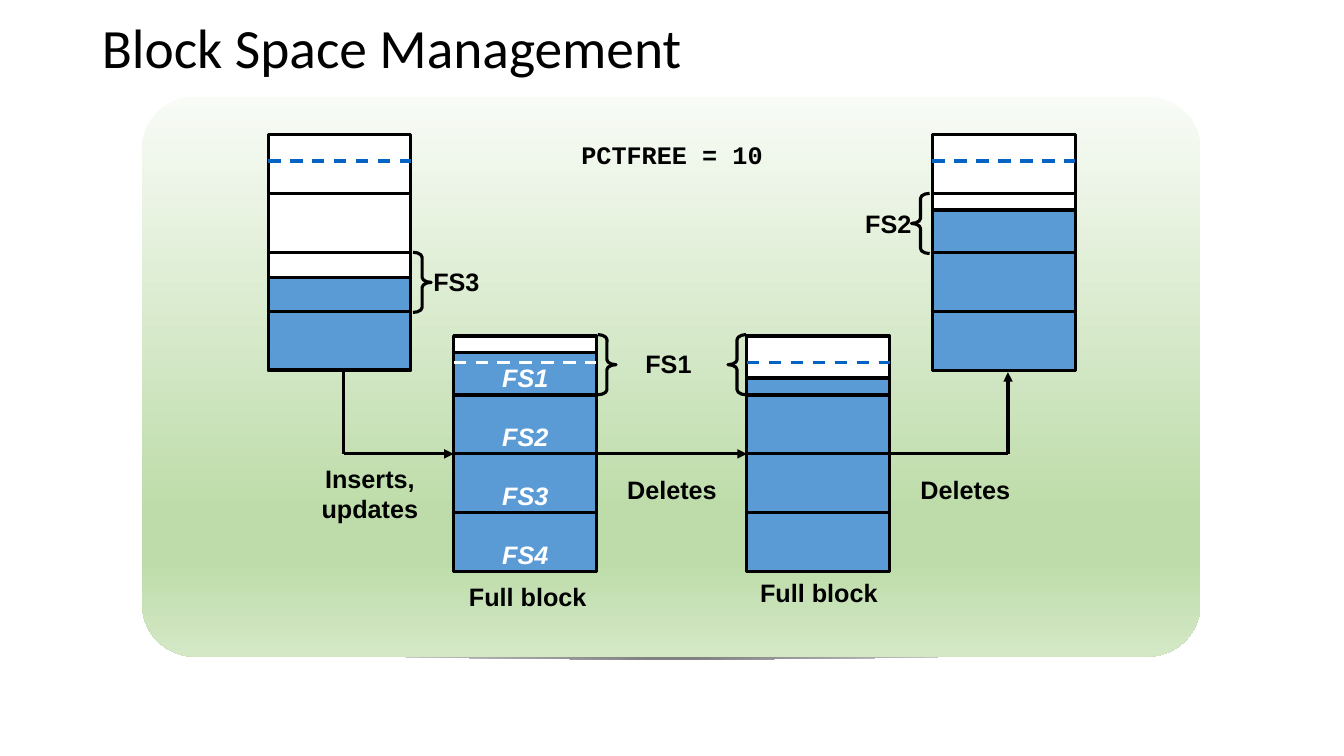
from pptx import Presentation
from pptx.dml.color import RGBColor
from pptx.enum.dml import MSO_LINE
from pptx.enum.shapes import MSO_CONNECTOR, MSO_SHAPE
from pptx.enum.text import MSO_ANCHOR, MSO_AUTO_SIZE, PP_ALIGN
from pptx.oxml import parse_xml
from pptx.oxml.ns import qn
from pptx.util import Pt

RECTANGLE = MSO_SHAPE.RECTANGLE
ROUNDED = MSO_SHAPE.ROUNDED_RECTANGLE
LEFT_BRACE, RIGHT_BRACE = MSO_SHAPE.LEFT_BRACE, MSO_SHAPE.RIGHT_BRACE
STRAIGHT = MSO_CONNECTOR.STRAIGHT
DASH = MSO_LINE.DASH
MIDDLE = MSO_ANCHOR.MIDDLE
NO_FIT, GROW = MSO_AUTO_SIZE.NONE, MSO_AUTO_SIZE.SHAPE_TO_FIT_TEXT
LEFT, CENTER = PP_ALIGN.LEFT, PP_ALIGN.CENTER
DRAWING = 'xmlns:a="http://schemas.openxmlformats.org/drawingml/2006/main"'

BLACK, WHITE, USED, LIMIT = "000000", "FFFFFF", "5B9BD5", "0563C1"
LINE_WIDTH = 2.25
BLOCK_WIDTH, ROW, ROWS = 102, 42.1, 4
LIMIT_OFFSET = 19
HIGH, LOW = 96, 240
FLOW_Y = LOW + 2 * ROW
INSERT_X, FULL_X, FREED_X, DELETE_X = 191.5, 324, 533.5, 666


def color(value):
    """Turn a hex string into a colour."""
    return RGBColor.from_string(value)


def add_panel(shapes, kind, left, top, width, height, fill=None, line=BLACK):
    """Add a preset shape with an optional fill and outline."""
    shape = shapes.add_shape(kind, Pt(left), Pt(top), Pt(width), Pt(height))
    shape.shadow.inherit = False
    if fill:
        shape.fill.solid()
        shape.fill.fore_color.rgb = color(fill)
    else:
        shape.fill.background()
    if line:
        shape.line.color.rgb = color(line)
        shape.line.width = Pt(LINE_WIDTH)
    else:
        shape.line.fill.background()
    return shape


def set_gradient(shape, stops, direction):
    """Fill a shape with gradient stops in percent and a direction element."""
    shape.fill.gradient()
    gradient = shape.fill._xPr.find(qn("a:gradFill"))
    marks = "".join(
        f'<a:gs pos="{place * 1000}"><a:srgbClr val="{value}"/></a:gs>'
        for place, value in stops)
    gradient.getparent().replace(gradient, parse_xml(
        f'<a:gradFill {DRAWING} rotWithShape="1"><a:gsLst>{marks}</a:gsLst>{direction}</a:gradFill>'))


def add_line(shapes, start, end, value=BLACK, dash=None, arrow=False):
    """Add a straight line, optionally dashed or with an arrowhead."""
    line = shapes.add_connector(STRAIGHT, *map(Pt, start + end))
    line.line.color.rgb = color(value)
    line.line.width = Pt(LINE_WIDTH)
    if dash:
        line.line.dash_style = dash
    properties = line._element.spPr
    if arrow:
        properties.find(qn("a:ln")).append(
            parse_xml(f'<a:tailEnd {DRAWING} type="triangle"/>'))
    properties.append(parse_xml(f"<a:effectLst {DRAWING}/>"))


def write(frame, text, font="Arial", size=18, value=BLACK, bold=True,
          italic=False, align=CENTER):
    """Write one formatted paragraph into a text frame."""
    para = frame.paragraphs[0]
    para.text = text
    para.alignment = align
    for span in para.runs:
        span.font.name = font
        span.font.size = Pt(size)
        span.font.bold = bold
        span.font.italic = italic
        span.font.color.rgb = color(value)
    return para


def add_label(shapes, text, left, top, width, height=29, wrap=True, **style):
    """Add a centred text label."""
    box = shapes.add_textbox(Pt(left), Pt(top), Pt(width), Pt(height))
    box.text_frame.word_wrap = wrap
    box.text_frame.auto_size = GROW
    write(box.text_frame, text, **style)


def add_brace(shapes, kind, left, top):
    """Add a curly brace that spans one block row."""
    brace = add_panel(shapes, kind, left, top, 13, 43)
    brace.adjustments[0] = 0.277
    brace.adjustments[1] = 0.5


def add_block(shapes, left, top, level, limit=LIMIT):
    """Add a data block whose used space starts at level below its top."""
    def add_row(index, fill):
        add_panel(shapes, RECTANGLE, left, top + index * ROW, BLOCK_WIDTH, ROW, fill)

    free_rows = [index for index in range(ROWS) if index * ROW < level]
    for index in free_rows:
        add_row(index, WHITE)
    add_panel(shapes, RECTANGLE, left, top + level, BLOCK_WIDTH, ROWS * ROW - level, USED)
    limit_y = top + LIMIT_OFFSET
    add_line(shapes, (left, limit_y), (left + BLOCK_WIDTH, limit_y), limit, DASH)
    for index in range(len(free_rows), ROWS):
        add_row(index, None)


def add_backdrop(shapes):
    """Add the green panel and the thin shadow under it."""
    center, half, top, depth, steps = 480, 360, 465, 6, 40
    ratios = [1 - 2 * step / steps for step in range(steps + 1)]
    points = [(Pt(center + half * ratio), Pt(top + depth * (1 - ratio ** 2)))
              for ratio in ratios]
    builder = shapes.build_freeform(*points[0], scale=1.0)
    builder.add_line_segments(points[1:], close=True)
    shadow = builder.convert_to_shape()
    shadow.shadow.inherit = False
    shadow.line.fill.background()
    set_gradient(shadow, [(4, "808080"), (100, WHITE)],
                 '<a:path path="circle"><a:fillToRect l="50000" t="50000" r="50000" b="50000"/></a:path>')
    panel = add_panel(shapes, ROUNDED, 101.5, 69, 756, 400, line=None)
    panel.adjustments[0] = 0.094
    set_gradient(panel, [(0, "F8FBF6"), (74, "BEDCAA"), (83, "BEDCAA"), (100, "D4E8C6")],
                 '<a:lin ang="5400000" scaled="0"/>')


def add_title(page, text):
    """Place and format the slide title."""
    title = page.shapes.title
    title.left, title.top, title.width, title.height = map(Pt, (65.5, 11.5, 816, 49))
    frame = title.text_frame
    frame.auto_size = NO_FIT
    frame.vertical_anchor = MIDDLE
    para = write(frame, text, font="Calibri", size=39.6, bold=False, align=LEFT)
    para.line_spacing = 0.9


def main():
    """Build the slide and save the deck."""
    deck = Presentation()
    deck.slide_width, deck.slide_height = Pt(960), Pt(540)
    page = deck.slides.add_slide(deck.slide_layouts[5])
    add_backdrop(page.shapes.add_group_shape().shapes)
    add_title(page, "Block Space Management")

    diagram = page.shapes.add_group_shape().shapes
    turn_y = HIGH + ROWS * ROW + 1.5
    for start, end, arrow in (
            ((245.5, FLOW_Y), (FULL_X, FLOW_Y), True),
            ((FULL_X + BLOCK_WIDTH, FLOW_Y), (FREED_X, FLOW_Y), True),
            ((245.5, FLOW_Y), (245.5, turn_y), False),
            ((630, FLOW_Y), (720, FLOW_Y), False),
            ((720, FLOW_Y), (720, turn_y), True)):
        add_line(diagram, start, end, arrow=arrow)

    add_block(diagram, INSERT_X, HIGH, 102)
    add_block(diagram, FULL_X, LOW, 12, limit=WHITE)
    add_block(diagram, FREED_X, LOW, 30)
    add_block(diagram, DELETE_X, HIGH, 54)

    for kind, left, top in (
            (RIGHT_BRACE, 295, HIGH + 2 * ROW),
            (RIGHT_BRACE, 427, LOW - 1),
            (LEFT_BRACE, 520, LOW - 1),
            (LEFT_BRACE, 651, HIGH + ROW)):
        add_brace(diagram, kind, left, top)

    add_label(diagram, "PCTFREE = 10", 396, 96, 168, font="Courier New")
    add_label(diagram, "Inserts,\nupdates", 222.5, 327.5, 83.5, 50.5, wrap=False)
    for text, left, top, width in (
            ("Deletes", 432, 335.5, 96), ("Deletes", 641.5, 335.5, 96),
            ("Full block", 319, 412, 116), ("Full block", 527, 409, 116),
            ("FS3", 299, 186.5, 54), ("FS1", 450.5, 245.5, 54), ("FS2", 607.5, 145.5, 54)):
        add_label(diagram, text, left, top, width)
    for index in range(ROWS):
        add_label(diagram, f"FS{index + 1}", 351.5, 255.5 + index * ROW, 47.5,
                  wrap=False, value=WHITE, italic=True)

    deck.save("out.pptx")


main()
